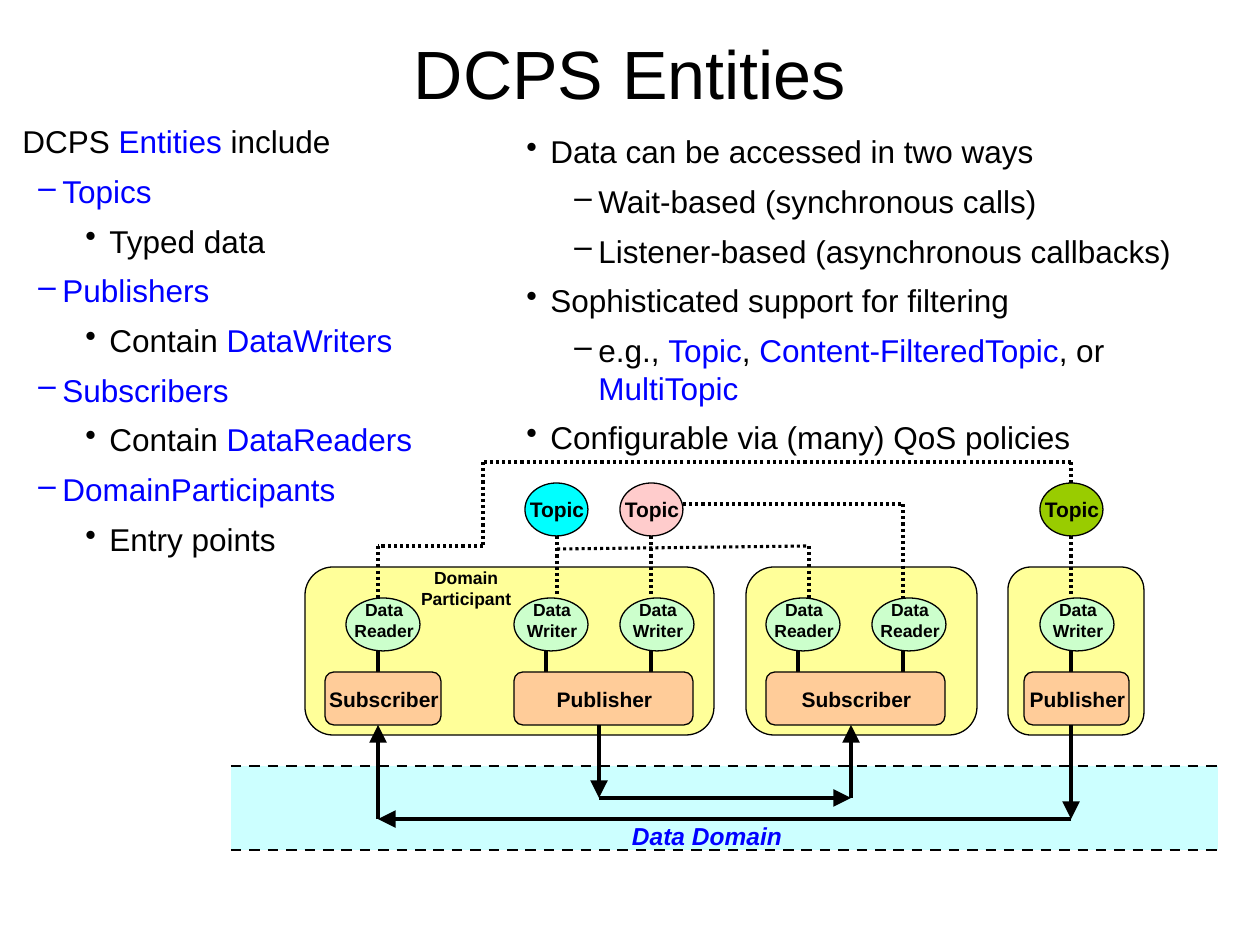
from lxml.etree import SubElement
from pptx import Presentation
from pptx.dml.color import RGBColor
from pptx.enum.dml import MSO_LINE
from pptx.enum.shapes import MSO_CONNECTOR, MSO_SHAPE
from pptx.enum.text import MSO_ANCHOR, MSO_AUTO_SIZE, PP_ALIGN
from pptx.oxml.ns import qn
from pptx.util import Emu, Pt

SCALE = 914400 / 126
COLORS = {
    "black": "000000", "blue": "0000FF", "cyan": "00FFFF", "pink": "FFCCCC",
    "olive": "99CC00", "participant": "FFFF99", "endpoint": "CCFFCC",
    "group": "FFCC99", "domain": "CCFFFF",
}
ENTITIES = [
    (None, 0, "DCPS |Entities| include"),
    ("–", 40, "|Topics"), ("•", 87, "Typed data"),
    ("–", 40, "|Publishers"), ("•", 87, "Contain |DataWriters"),
    ("–", 40, "|Subscribers"), ("•", 87, "Contain |DataReaders"),
    ("–", 40, "|DomainParticipants"), ("•", 87, "Entry points"),
]
FEATURES = [
    ("•", 24, "Data can be accessed in two ways"),
    ("–", 72, "Wait-based (synchronous calls)"),
    ("–", 72, "Listener-based (asynchronous callbacks)"),
    ("•", 24, "Sophisticated support for filtering"),
    ("–", 72, "e.g., |Topic|, |Content-FilteredTopic|, or |MultiTopic"),
    ("•", 24, "Configurable via (many) QoS policies"),
]
TOPICS = [(525, "cyan"), (620, "pink"), (1040, "olive")]
PARTICIPANTS = [(305, 409), (746, 231), (1008, 136)]
ENDPOINTS = [
    (346, "Data Reader", 378), (514, "Data Writer", 546), (620, "Data Writer", 651),
    (766, "Data Reader", 798), (872, "Data Reader", 903), (1040, "Data Writer", 1071),
]
GROUPS = [
    (325, 116, "Subscriber"), (514, 179, "Publisher"),
    (766, 179, "Subscriber"), (1024, 105, "Publisher"),
]
TOPIC_ROUTES = [
    [(557, 536), (557, 598)],
    [(651, 536), (651, 598)],
    [(1071, 536), (1071, 598)],
    [(683, 504), (903, 504), (903, 598)],
    [(557, 549), (809, 546), (809, 598)],
    [(1071, 483), (1071, 462), (483, 462), (483, 546), (378, 546), (378, 598)],
]
DATA_FLOWS = [
    [(599, 725), (599, 798), (851, 798), (851, 725)],
    [(1071, 725), (1071, 819), (378, 819), (378, 725)],
]


def px(length):
    """Turn pixels into EMU."""
    return Emu(round(length * SCALE))


def color(name):
    """Look up a named colour."""
    return RGBColor.from_string(COLORS[name])


def format_span(span, size, ink="black", bold=False, italic=False):
    """Set the font of one run."""
    font = span.font
    font.name, font.size, font.bold, font.italic = "Arial", Pt(size), bold, italic
    font.color.rgb = color(ink)


def add_title(page, text):
    """Place and format the title placeholder."""
    title = page.shapes.title
    title.left, title.top, title.width, title.height = px(21), px(21), px(1218), px(103)
    frame = title.text_frame
    frame.text = text
    frame.auto_size = MSO_AUTO_SIZE.NONE
    frame.vertical_anchor = MSO_ANCHOR.MIDDLE
    frame.paragraphs[0].alignment = PP_ALIGN.CENTER
    format_span(frame.paragraphs[0].runs[0], 39)


def add_box(page, left, top, width, height):
    """Add a wrapping text box and return its frame."""
    box = page.shapes.add_textbox(px(left), px(top), px(width), px(height))
    box.text_frame.word_wrap = True
    return box.text_frame


def set_bullet(para, bullet, indent, ink):
    """Give a paragraph a hanging bullet."""
    properties = para._p.get_or_add_pPr()
    properties.set("marL", str(px(indent)))
    properties.set("indent", str(px(-24)))
    tint = SubElement(properties, qn("a:buClr"))
    SubElement(tint, qn("a:srgbClr")).set("val", COLORS[ink])
    SubElement(properties, qn("a:buChar")).set("char", bullet)


def add_outline(page, left, top, width, height, items):
    """Add bulleted text in which every second part between bars is blue."""
    frame = add_box(page, left, top, width, height)
    for index, (bullet, indent, text) in enumerate(items):
        para = frame.add_paragraph() if index else frame.paragraphs[0]
        if bullet:
            set_bullet(para, bullet, indent, "blue" if text.startswith("|") else "black")
        para.space_before = Pt(6.8 if index else 0)
        for position, part in enumerate(text.split("|")):
            if part:
                span = para.add_run()
                span.text = part
                format_span(span, 18, "blue" if position % 2 else "black")


def add_label(page, center, top, width, height, text, size, ink="black", italic=False):
    """Add a bold label centred on a horizontal position."""
    para = add_box(page, center - width / 2, top, width, height).paragraphs[0]
    para.text = text
    para.alignment = PP_ALIGN.CENTER
    format_span(para.runs[0], size, ink, True, italic)


def add_block(page, kind, left, top, width, height, fill, outlined=True):
    """Add a filled shape."""
    block = page.shapes.add_shape(kind, px(left), px(top), px(width), px(height))
    block.shadow.inherit = False
    block.fill.solid()
    block.fill.fore_color.rgb = color(fill)
    if outlined:
        block.line.color.rgb = color("black")
        block.line.width = Pt(0.75)
    else:
        block.line.fill.background()


def add_arrowhead(link):
    """Put a large triangle at the end of a connector."""
    head = SubElement(link.line._get_or_add_ln(), qn("a:tailEnd"))
    for key, value in (("type", "triangle"), ("w", "lg"), ("len", "lg")):
        head.set(key, value)


def add_route(page, points, width, dash=None, arrow=False):
    """Join successive points with straight connectors."""
    for start, end in zip(points, points[1:]):
        link = page.shapes.add_connector(
            MSO_CONNECTOR.STRAIGHT, *(px(value) for value in start + end))
        link.line.color.rgb = color("black")
        link.line.width = Pt(width)
        if dash:
            link.line.dash_style = dash
        if arrow:
            add_arrowhead(link)
        SubElement(link._element.spPr, qn("a:effectLst"))


def add_diagram(page):
    """Draw the participants with their entities and the data domain."""
    for left, fill in TOPICS:
        add_block(page, MSO_SHAPE.OVAL, left, 483, 63, 53, fill)
        add_label(page, left + 32, 490, 84, 38, "Topic", 12)
    for left, width in PARTICIPANTS:
        add_block(page, MSO_SHAPE.ROUNDED_RECTANGLE, left, 567, width, 168, "participant")
    for left, text, stem in ENDPOINTS:
        add_block(page, MSO_SHAPE.OVAL, left, 598, 74, 53, "endpoint")
        add_label(page, left + 38, 593, 105, 55, text, 10)
        add_route(page, [(stem, 651), (stem, 672)], 1.75)
    for left, width, text in GROUPS:
        add_block(page, MSO_SHAPE.ROUNDED_RECTANGLE, left, 672, width, 53, "group")
        add_label(page, left + width / 2 + 1, 680, 147, 38, text, 12)
    add_label(page, 466, 561, 168, 55, "Domain Participant", 10)
    add_block(page, MSO_SHAPE.RECTANGLE, 231, 766, 987, 84, "domain", outlined=False)
    for edge in (766, 850):
        add_route(page, [(231, edge), (1218, edge)], 1.5, MSO_LINE.DASH)
    add_label(page, 707, 815, 224, 43, "Data Domain", 14, "blue", True)
    for points in TOPIC_ROUTES:
        add_route(page, points, 1.75, MSO_LINE.ROUND_DOT)
    for points in DATA_FLOWS:
        add_route(page, points, 2, arrow=True)


def main():
    """Build and save the slide."""
    deck = Presentation()
    deck.slide_width, deck.slide_height = px(1260), px(945)
    page = deck.slides.add_slide(deck.slide_layouts[5])
    add_title(page, "DCPS Entities")
    add_outline(page, 10, 116, 431, 567, ENTITIES)
    add_outline(page, 514, 126, 746, 567, FEATURES)
    add_diagram(page)
    deck.save("out.pptx")


if __name__ == "__main__":
    main()
